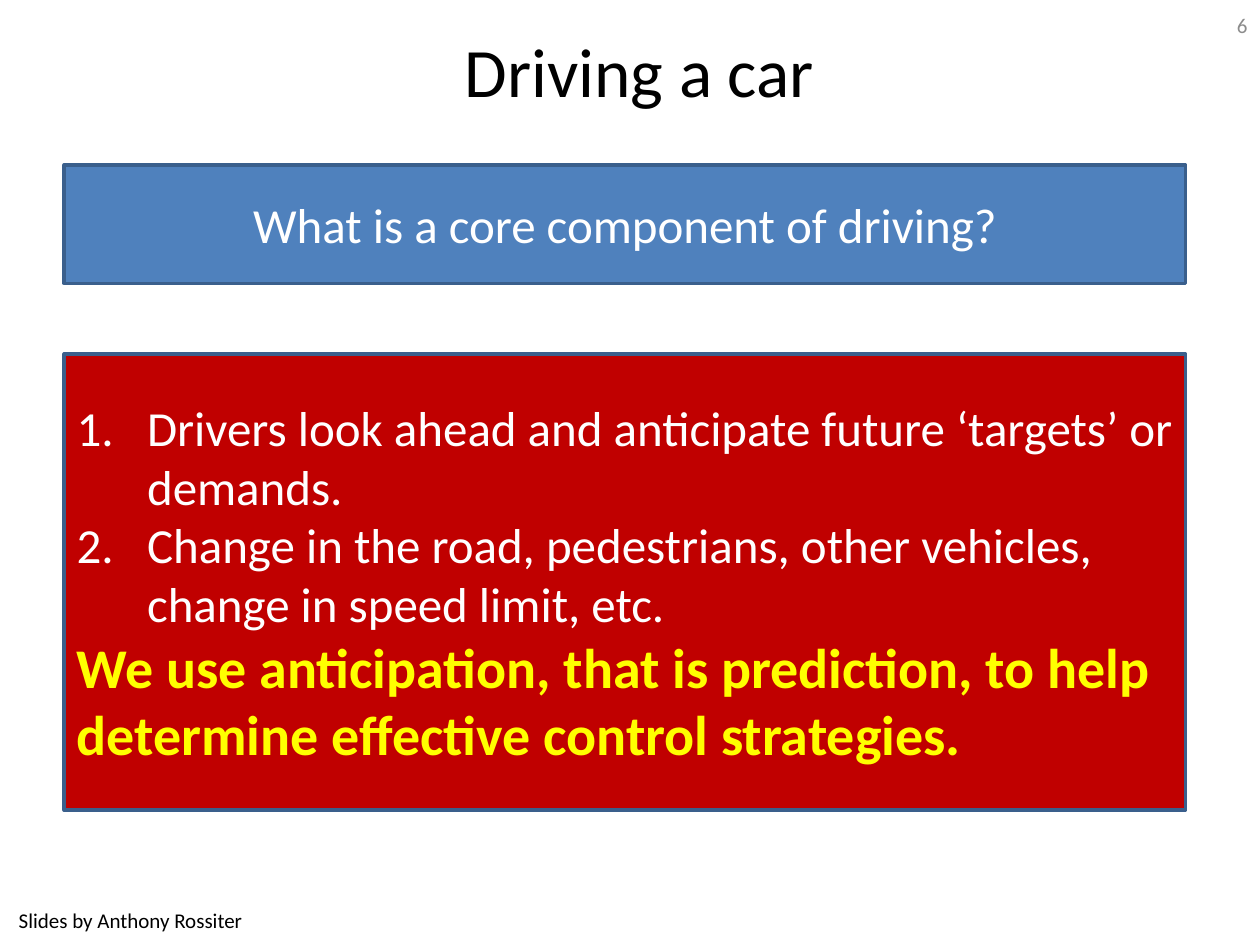
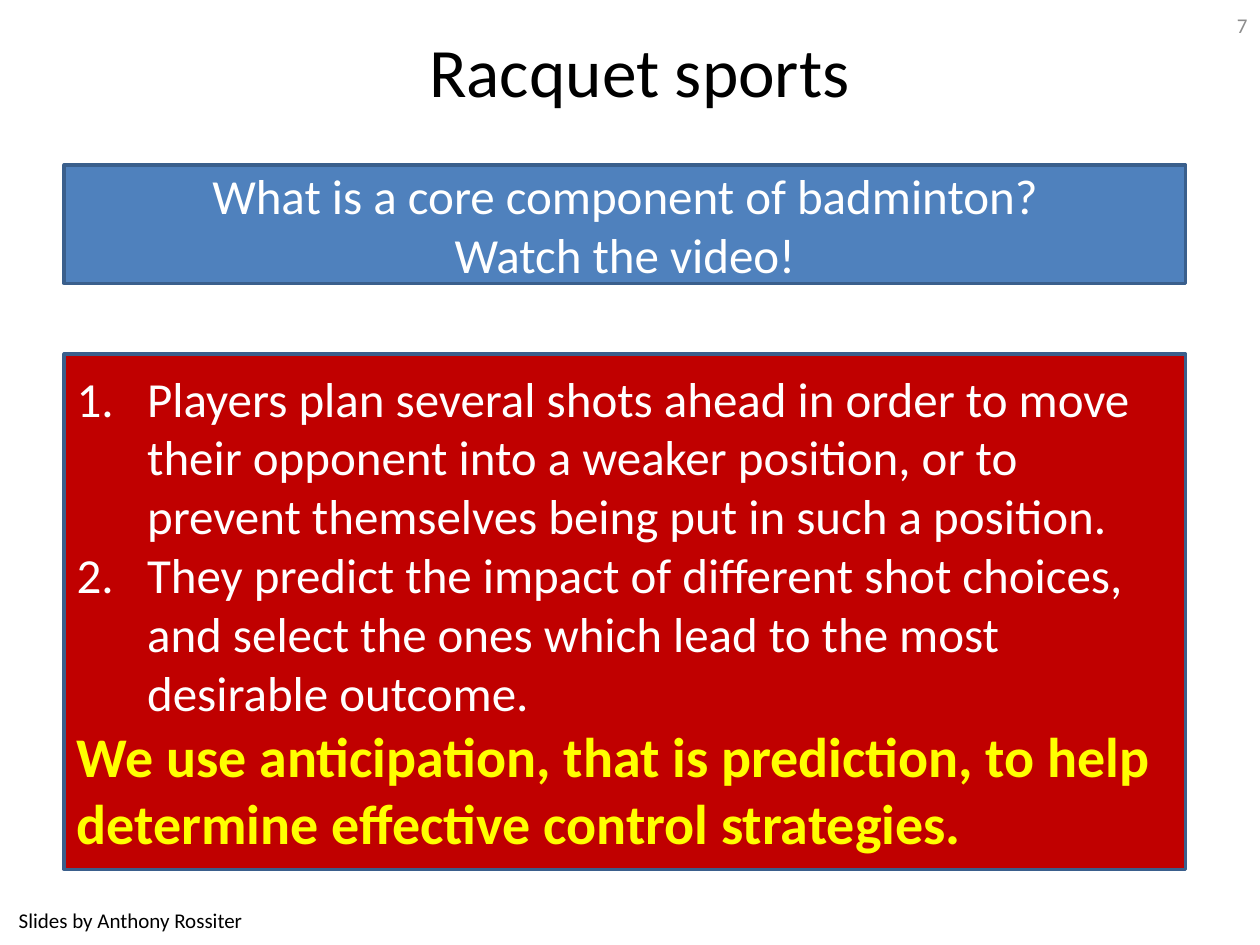
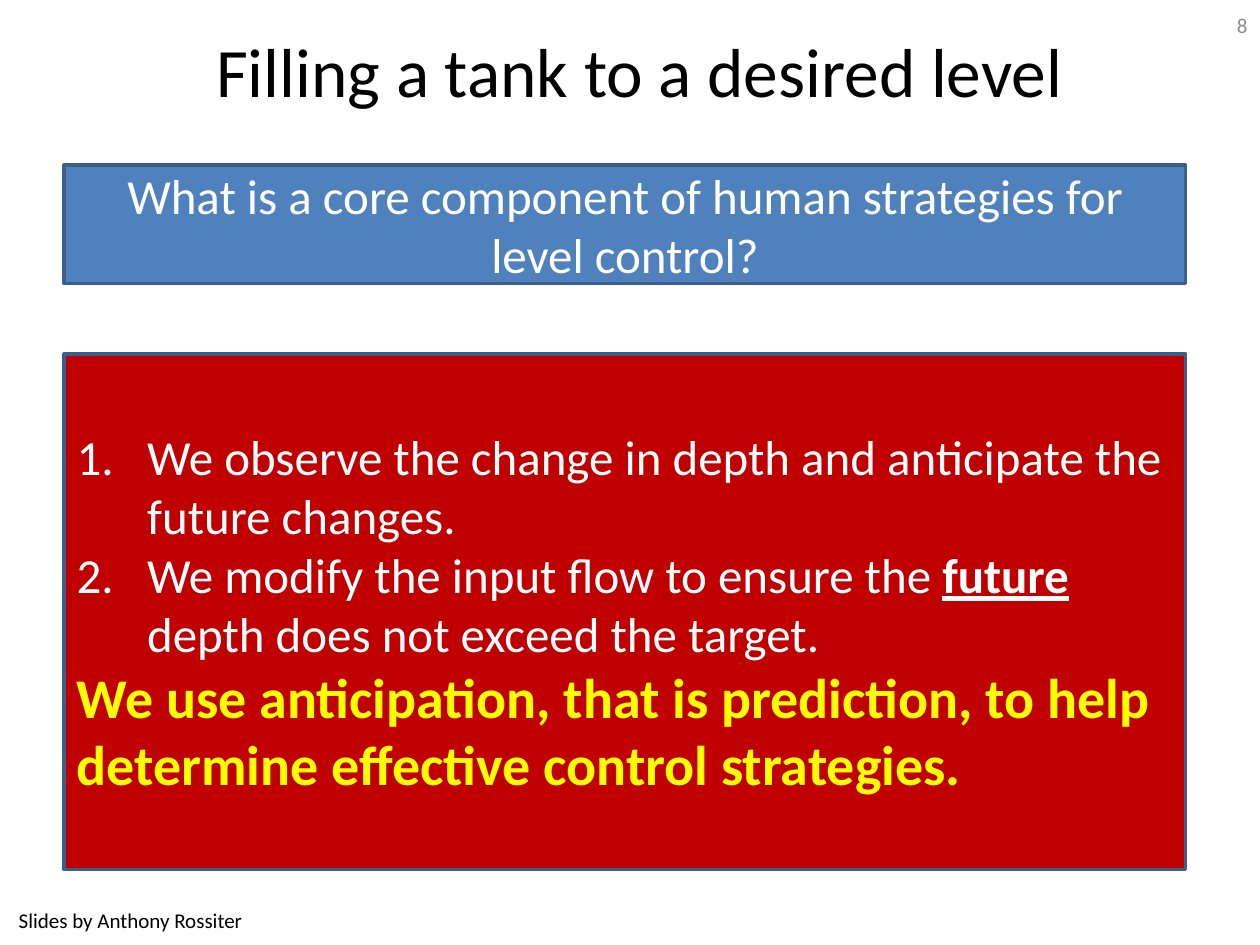
from dataclasses import dataclass

from lxml.etree import SubElement
from pptx import Presentation
from pptx.dml.color import RGBColor
from pptx.enum.shapes import MSO_SHAPE
from pptx.enum.text import MSO_ANCHOR, PP_ALIGN
from pptx.oxml.ns import qn
from pptx.util import Inches, Pt


@dataclass(frozen=True)
class Theme:
    font: str = "Calibri"
    black: str = "000000"
    white: str = "FFFFFF"
    grey: str = "8C8C8C"
    blue: str = "4F81BD"
    red: str = "C00000"
    yellow: str = "FFFF00"
    border: str = "3A5F8C"
    border_width: float = 2
    title_size: float = 39.6
    body_size: float = 28
    conclusion_size: float = 32
    small_size: float = 12
    list_indent: float = 0.56


THEME = Theme()

# Boxes are left, top, width, height in inches.
TITLE_BOX = (0.7, 0.16, 8.75, 0.78)
FOOTER_BOX = (0, 7.1, 2.11, 0.4)
NUMBER_BOX = (8.91, 0, 1.09, 0.4)
QUESTION_BOX = (0.51, 1.31, 8.9, 0.94)
ANSWER_LEFT, ANSWER_TOP, ANSWER_WIDTH = 0.51, 2.81, 8.9

FIRST_NUMBER = 6
FOOTER = "Slides by Anthony Rossiter "
CONCLUSION = ("We use anticipation, that is prediction, to help determine "
              "effective control strategies.")

# A point is a string, or a list of strings whose odd items are emphasised.
SLIDES = [
    dict(
        title="Driving a car",
        question=["What is a core component of driving?"],
        points=[
            "Drivers look ahead and anticipate future ‘targets’ or demands.",
            "Change in the road, pedestrians, other vehicles, change in speed "
            "limit, etc.",
        ],
        answer_height=3.62,
    ),
    dict(
        title="Racquet sports",
        question=["What is a core component of badminton?", "Watch the video!"],
        points=[
            "Players plan several shots ahead in order to move their opponent "
            "into a weaker position, or to prevent themselves being put in "
            "such a position.",
            "They predict the impact of different shot choices, and select "
            "the ones which lead to the most desirable outcome.",
        ],
        answer_height=4.09,
    ),
    dict(
        title="Filling a tank to a desired level",
        question=["What is a core component of human strategies for level control?"],
        points=[
            "We observe the change in depth and anticipate the future changes.",
            ["We modify the input flow to ensure the ", "future",
             " depth does not exceed the target."],
        ],
        answer_height=4.09,
    ),
]


def write(tf, text, size=THEME.body_size, color=THEME.white,
          align=PP_ALIGN.LEFT, bold=False, numbered=False):
    """Add one paragraph, filling the frame's first one if it is unused."""
    p = tf.paragraphs[0]
    if p.runs:
        p = tf.add_paragraph()
    p.alignment = align
    if numbered:
        number_paragraph(p)
    parts = [text] if isinstance(text, str) else text
    for i, part in enumerate(parts):
        emphasised = i % 2 == 1
        r = p.add_run()
        r.text = part
        r.font.name = THEME.font
        r.font.size = Pt(size)
        r.font.color.rgb = RGBColor.from_string(color)
        r.font.bold = bold or emphasised
        r.font.underline = emphasised
    return p


def number_paragraph(p):
    indent = Inches(THEME.list_indent)
    pPr = p._p.get_or_add_pPr()
    pPr.set("marL", str(indent))
    pPr.set("indent", str(-indent))
    SubElement(pPr, qn("a:buFont"), typeface="+mj-lt")
    SubElement(pPr, qn("a:buAutoNum"), type="arabicPeriod")


def middle_frame(sp):
    tf = sp.text_frame
    tf.word_wrap = True
    tf.vertical_anchor = MSO_ANCHOR.MIDDLE
    return tf


def add_label(slide, box, text, **fmt):
    sp = slide.shapes.add_textbox(*map(Inches, box))
    write(middle_frame(sp), text, **fmt)


def add_panel(slide, box, fill):
    """Draw a bordered rectangle and return its text frame."""
    sp = slide.shapes.add_shape(MSO_SHAPE.RECTANGLE, *map(Inches, box))
    sp.shadow.inherit = False
    sp.fill.solid()
    sp.fill.fore_color.rgb = RGBColor.from_string(fill)
    sp.line.color.rgb = RGBColor.from_string(THEME.border)
    sp.line.width = Pt(THEME.border_width)
    return middle_frame(sp)


def add_frame(slide, title, number):
    """Add the title, footer and slide number that every slide has."""
    add_label(slide, TITLE_BOX, title, size=THEME.title_size,
              color=THEME.black, align=PP_ALIGN.CENTER)
    add_label(slide, FOOTER_BOX, FOOTER, size=THEME.small_size,
              color=THEME.black, align=PP_ALIGN.CENTER)
    add_label(slide, NUMBER_BOX, str(number), size=THEME.small_size,
              color=THEME.grey, align=PP_ALIGN.RIGHT)


def add_question(slide, box, lines):
    tf = add_panel(slide, box, THEME.blue)
    for line in lines:
        write(tf, line, align=PP_ALIGN.CENTER)


def add_answer(slide, box, points):
    tf = add_panel(slide, box, THEME.red)
    for point in points:
        write(tf, point, numbered=True)
    write(tf, CONCLUSION, size=THEME.conclusion_size, color=THEME.yellow, bold=True)


def add_question_slide(prs, number, title, question, points, answer_height):
    slide = prs.slides.add_slide(prs.slide_layouts[6])
    add_frame(slide, title, number)
    add_question(slide, QUESTION_BOX, question)
    add_answer(slide, (ANSWER_LEFT, ANSWER_TOP, ANSWER_WIDTH, answer_height), points)


def main():
    prs = Presentation()
    prs.slide_width = Inches(10)
    prs.slide_height = Inches(7.5)
    for number, content in enumerate(SLIDES, start=FIRST_NUMBER):
        add_question_slide(prs, number, **content)
    prs.save("out.pptx")


if __name__ == "__main__":
    main()
